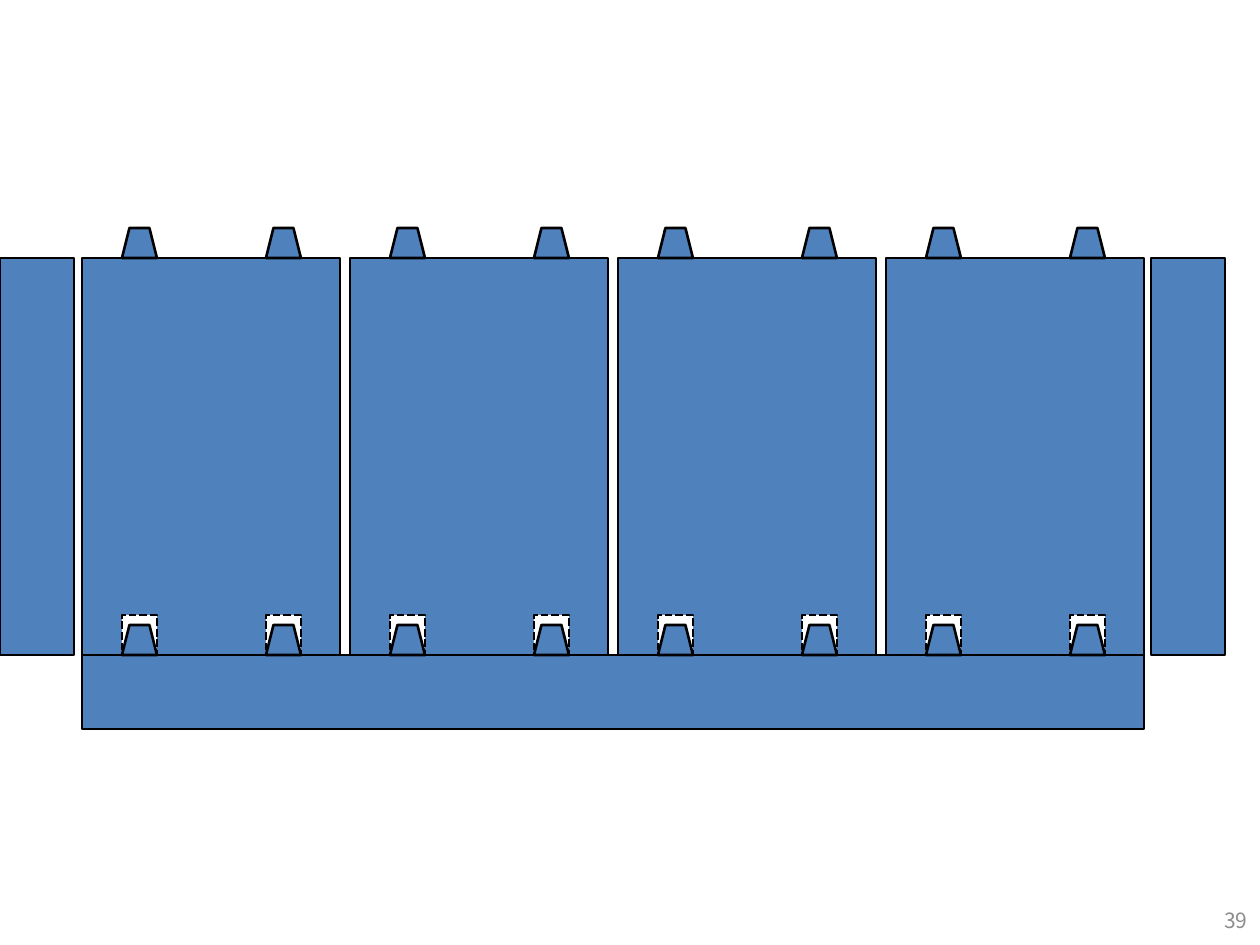
from pptx import Presentation
from pptx.dml.color import RGBColor
from pptx.enum.dml import MSO_LINE
from pptx.enum.shapes import MSO_SHAPE
from pptx.enum.text import MSO_ANCHOR, PP_ALIGN
from pptx.util import Emu, Pt

BLUE, BLACK, WHITE, GREY = "4F81BD", "000000", "FFFFFF", "8C8C8C"
FONT = "Noto Sans CJK KR"

# Wall layout, in px
LEFT, TOP, HEIGHT = 82, 258, 397
PANEL_W, PITCH, COUNT = 258, 268, 4
STUD_W, STUD_H, STUD_OFFSETS = 35, 30, (40, 184)
SOCKET_H = 39
SIDE_W, BASE_H = 74, 74


def px(n):
    return Emu(round(n * 914400 / 126))


def color(value):
    return RGBColor.from_string(value)


def add_part(group, kind, x, y, w, h, fill=BLUE, dashed=False):
    sp = group.shapes.add_shape(kind, px(x), px(y), px(w), px(h))
    sp.shadow.inherit = False
    sp.fill.solid()
    sp.fill.fore_color.rgb = color(fill)
    sp.line.color.rgb = color(BLACK)
    sp.line.width = Pt(1.5)
    if dashed:
        sp.line.dash_style = MSO_LINE.SQUARE_DOT


def add_studs(group, x, bottom):
    for dx in STUD_OFFSETS:
        add_part(group, MSO_SHAPE.TRAPEZOID, x + dx, bottom - STUD_H, STUD_W, STUD_H)


def add_panel(s, x, y, w, h):
    group = s.shapes.add_group_shape()
    add_part(group, MSO_SHAPE.RECTANGLE, x, y, w, h)
    for dx in STUD_OFFSETS:
        add_part(group, MSO_SHAPE.RECTANGLE, x + dx, y + h - SOCKET_H - 1,
                 STUD_W, SOCKET_H, WHITE, dashed=True)
    add_studs(group, x, y)


def add_base(s, x, y, w, h):
    group = s.shapes.add_group_shape()
    add_part(group, MSO_SHAPE.RECTANGLE, x, y, w, h)
    for i in range(COUNT):
        add_studs(group, x + i * PITCH, y)


def add_sides(s, lefts, y, w, h):
    group = s.shapes.add_group_shape()
    for x in lefts:
        add_part(group, MSO_SHAPE.RECTANGLE, x, y, w, h)


def add_page_number(s, number, x, y, w, h):
    tf = s.shapes.add_textbox(px(x), px(y), px(w), px(h)).text_frame
    tf.word_wrap = True
    tf.vertical_anchor = MSO_ANCHOR.MIDDLE
    p = tf.paragraphs[0]
    p.alignment = PP_ALIGN.RIGHT
    r = p.add_run()
    r.text = number
    r.font.size = Pt(12)
    r.font.name = FONT
    r.font.color.rgb = color(GREY)


def main():
    prs = Presentation()
    prs.slide_width, prs.slide_height = px(1260), px(945)
    s = prs.slides.add_slide(prs.slide_layouts[6])

    add_page_number(s, "39", 966, 895, 294, 50)

    # Wall panels, then the base whose studs fill their sockets
    for i in range(COUNT):
        add_panel(s, LEFT + i * PITCH, TOP, PANEL_W, HEIGHT)
    wall_w = (COUNT - 1) * PITCH + PANEL_W
    add_base(s, LEFT, TOP + HEIGHT, wall_w, BASE_H)

    # Side pieces
    add_sides(s, (0, LEFT + wall_w + 7), TOP, SIDE_W, HEIGHT)

    prs.save("out.pptx")


if __name__ == "__main__":
    main()
